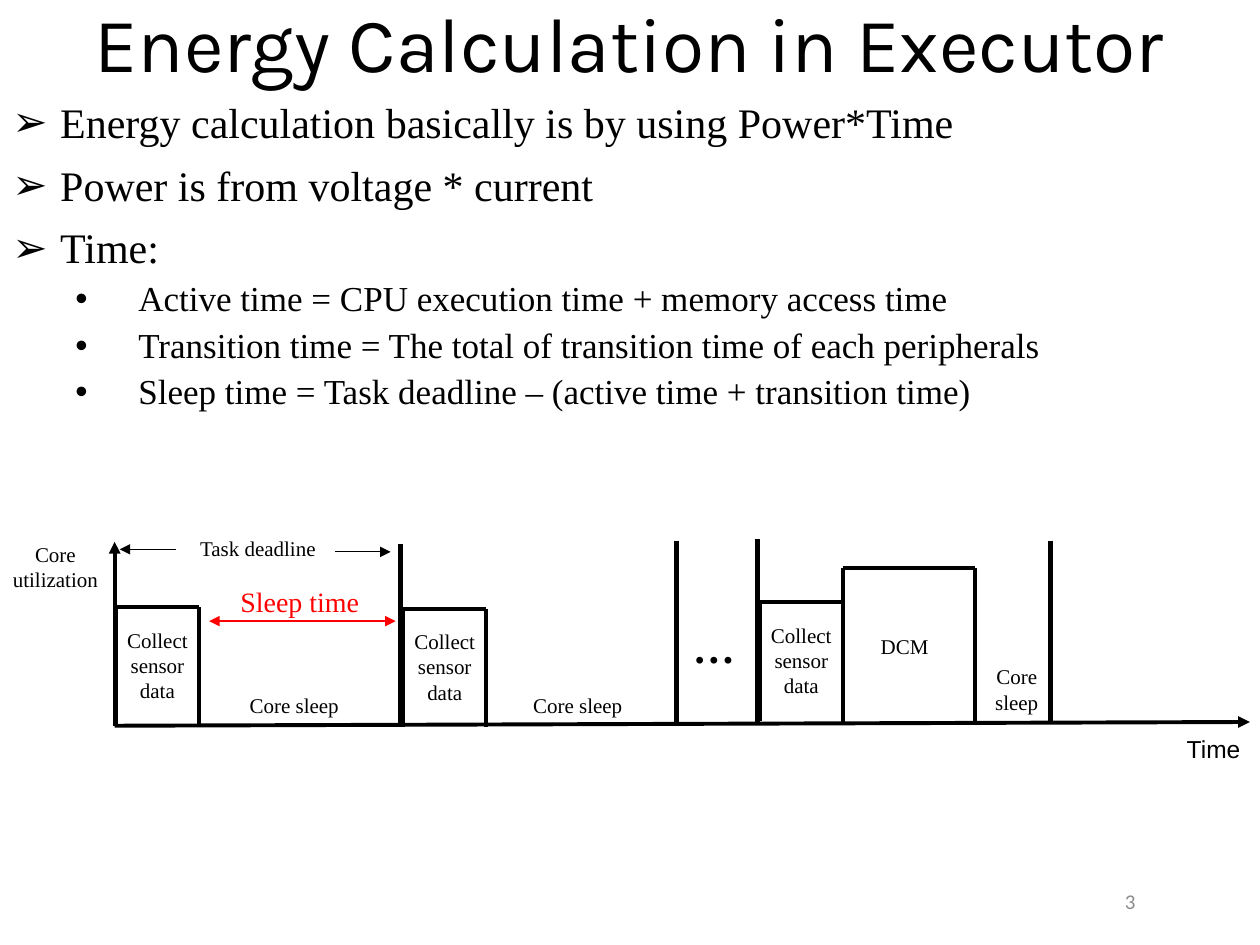
from dataclasses import dataclass

from lxml.etree import SubElement
from pptx import Presentation
from pptx.dml.color import RGBColor
from pptx.enum.shapes import MSO_CONNECTOR
from pptx.enum.text import MSO_ANCHOR, PP_ALIGN
from pptx.oxml.ns import qn
from pptx.util import Inches, Pt

BLACK = RGBColor(0x00, 0x00, 0x00)
RED = RGBColor(0xFF, 0x00, 0x00)
GRAY = RGBColor(0x8C, 0x8C, 0x8C)
SERIF = "Times New Roman"
WIDTH, HEIGHT = 10, 7.5
TITLE_HEIGHT = 0.76
AXIS_LEFT, AXIS_BOTTOM = 0.91, 5.76
CENTER = PP_ALIGN.CENTER


@dataclass
class BulletLevel:
    character: str
    size: float
    margin: float
    hanging: float
    space_before: float


@dataclass
class Line:
    start: tuple[float, float]
    end: tuple[float, float]
    width: float = 2.25
    color: RGBColor = BLACK
    head: bool = False
    tail: bool = False


@dataclass
class Label:
    text: str
    box: tuple[float, float, float, float]
    size: float = 12
    font: str = SERIF
    color: RGBColor = BLACK
    align: PP_ALIGN = PP_ALIGN.LEFT
    bold: bool = False


@dataclass
class Task:
    text: str
    left: float
    top: float
    width: float
    height: float
    label_box: tuple[float, float, float, float]


def collect_task(left: float, top: float) -> Task:
    return Task("Collect sensor data", left, top, 0.66, 0.94,
                (left - 0.05, top + 0.11, 0.76, 0.71))


MAIN = BulletLevel("➢", 24, 0.38, 0.38, 10)
SUB = BulletLevel("•", 20, 1, 0.5, 5)
BULLETS = [
    (MAIN, "Energy calculation basically is by using Power*Time"),
    (MAIN, "Power is from voltage * current"),
    (MAIN, "Time:"),
    (SUB, "Active time = CPU execution time + memory access time"),
    (SUB, "Transition time = The total of transition time of each peripherals"),
    (SUB, "Sleep time = Task deadline – (active time + transition time)"),
]
TASKS = [
    collect_task(0.92, 4.82),
    collect_task(3.2, 4.83),
    collect_task(6.03, 4.78),
    Task("DCM", 6.69, 4.51, 1.05, 1.24, (6.83, 4.98, 0.7, 0.3)),
]
DEADLINES = [(3.18, 4.32), (5.37, 4.29), (6.01, 4.28), (8.34, 4.29)]
DEADLINE_HEIGHT = 1.45
LINES = [
    Line((AXIS_LEFT, AXIS_BOTTOM), (AXIS_LEFT, 4.3), tail=True),
    Line((AXIS_LEFT, AXIS_BOTTOM), (9.92, 5.73), tail=True),
    Line((2.66, 4.38), (3.1, 4.38), 0.5, tail=True),
    Line((1.4, 4.36), (0.95, 4.36), 0.5, tail=True),
    Line((1.66, 4.93), (3.14, 4.93), 1.5, RED, head=True, tail=True),
]
LABELS = [
    Label("Core\nutilization", (-0.07, 4.25, 1.02, 0.5), align=CENTER),
    Label("Time", (9.32, 5.78, 0.78, 0.34), 14, "Arial"),
    Label("Task deadline", (1.49, 4.2, 1.2, 0.3)),
    Label("Sleep time", (1.81, 4.59, 1.24, 0.37), 16, color=RED),
    Label("Core sleep", (1.79, 5.45, 1.09, 0.3), align=CENTER),
    Label("Core sleep", (4.04, 5.45, 1.09, 0.3), align=CENTER),
    Label("Core\nsleep", (7.64, 5.22, 0.86, 0.5), align=CENTER),
    Label("…", (5.4, 4.88, 0.64, 0.5), 24, bold=True),
]


def add_text(slide, text: str, box: tuple, *, size: float = 12, font: str = SERIF,
             color: RGBColor = BLACK, align: PP_ALIGN = PP_ALIGN.LEFT,
             bold: bool = False, anchor: MSO_ANCHOR = MSO_ANCHOR.TOP,
             line_spacing: float = 1.0):
    shape = slide.shapes.add_textbox(*map(Inches, box))
    frame = shape.text_frame
    frame.word_wrap = True
    frame.vertical_anchor = anchor
    frame.text = text
    for paragraph in frame.paragraphs:
        paragraph.alignment = align
        paragraph.line_spacing = line_spacing
        for run in paragraph.runs:
            run.font.size = Pt(size)
            run.font.name = font
            run.font.bold = bold
            run.font.color.rgb = color
    return shape


def format_bullet(paragraph, level: BulletLevel) -> None:
    paragraph.space_before = Pt(level.space_before)
    paragraph.runs[0].font.size = Pt(level.size)
    properties = paragraph._p.get_or_add_pPr()
    properties.set("marL", str(Inches(level.margin)))
    properties.set("indent", str(-Inches(level.hanging)))
    SubElement(properties, qn("a:buFont")).set("typeface", "Arial")
    SubElement(properties, qn("a:buChar")).set("char", level.character)


def add_line(slide, line: Line) -> None:
    connector = slide.shapes.add_connector(
        MSO_CONNECTOR.STRAIGHT, *map(Inches, line.start + line.end))
    connector.line.width = Pt(line.width)
    connector.line.color.rgb = line.color
    outline = connector.line._get_or_add_ln()
    for tag, shown in (("a:headEnd", line.head), ("a:tailEnd", line.tail)):
        if shown:
            SubElement(outline, qn(tag)).set("type", "triangle")
    SubElement(connector._element.spPr, qn("a:effectLst"))


def add_task(slide, task: Task) -> None:
    right, bottom = task.left + task.width, task.top + task.height
    add_line(slide, Line((task.left, task.top), (right, task.top)))
    for side in (task.left, right):
        add_line(slide, Line((side, task.top), (side, bottom)))
    add_text(slide, task.text, task.label_box, align=CENTER)


presentation = Presentation()
presentation.slide_width, presentation.slide_height = Inches(WIDTH), Inches(HEIGHT)
slide = presentation.slides.add_slide(presentation.slide_layouts[6])

# Title, bullets and slide number
add_text(slide, "Energy Calculation in Executor", (0, 0, WIDTH, TITLE_HEIGHT),
         size=44, font="Karla", align=CENTER, anchor=MSO_ANCHOR.BOTTOM,
         line_spacing=0.9)
body = add_text(slide, "\n".join(text for _, text in BULLETS),
                (0, TITLE_HEIGHT, WIDTH, HEIGHT - TITLE_HEIGHT), line_spacing=0.9)
for paragraph, (level, _) in zip(body.text_frame.paragraphs, BULLETS):
    format_bullet(paragraph, level)
add_text(slide, "3", (6.86, 6.95, 2.25, 0.4), font="Calibri", color=GRAY,
         align=PP_ALIGN.RIGHT, anchor=MSO_ANCHOR.MIDDLE)

# Timeline: axes and arrows, deadlines, tasks, labels
for line in LINES:
    add_line(slide, line)
for left, top in DEADLINES:
    add_line(slide, Line((left, top), (left, top + DEADLINE_HEIGHT), 3))
for task in TASKS:
    add_task(slide, task)
for label in LABELS:
    add_text(slide, label.text, label.box, size=label.size, font=label.font,
             color=label.color, align=label.align, bold=label.bold)

presentation.save("out.pptx")
